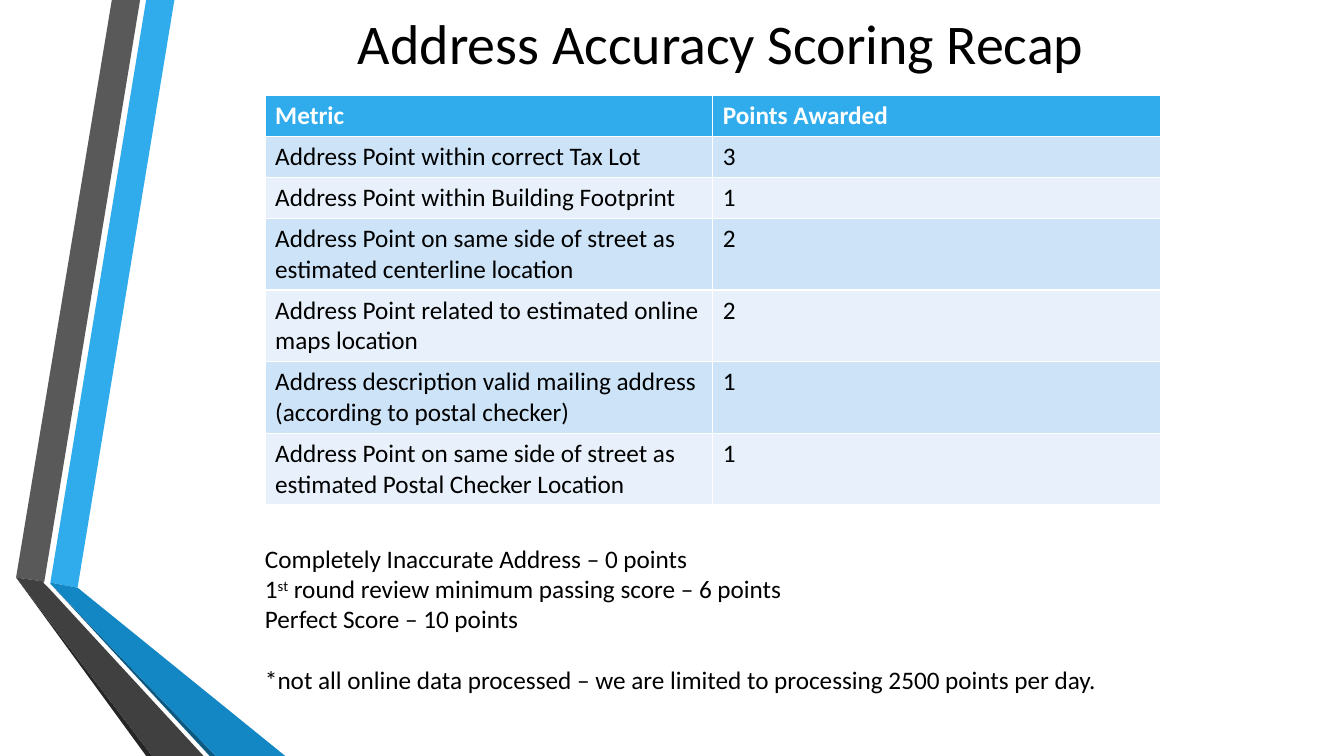
from dataclasses import dataclass

import pptx
import pptx.dml.color
import pptx.enum.text
import pptx.util

# The layout grid has 100 columns and 100 rows to the inch
UNIT = pptx.util.Inches(0.01)
SLIDE_COLUMNS, SLIDE_ROWS = 1333, 750


@dataclass(frozen=True)
class Theme:
    font: str = "Calibri"
    title_size: int = 40
    body_size: int = 18
    text: str = "000000"
    header_text: str = "FFFFFF"
    header_fill: str = "30ACEC"
    band_fills: tuple = ("CDE3F8", "E8F1FB")
    blue: str = "30ACEC"
    blue_fold: str = "1287C3"
    blue_edge: str = "0C5A82"
    gray: str = "595959"
    gray_fold: str = "404040"
    gray_edge: str = "262626"


THEME = Theme()

# Ribbon outlines from back to front, in grid units from the box corner
RIBBONS = [
    (THEME.blue, [(50, 578), (77, 583), (173, 0), (145, 0)]),
    (THEME.gray, [(139, 0), (111, 0), (16, 573), (44, 577)]),
    (THEME.gray_edge, [(16, 573), (145, 750), (151, 750)]),
    (THEME.blue_edge, [(50, 579), (208, 750), (214, 750)]),
    (THEME.blue_fold, [(50, 578), (50, 579), (214, 750), (283, 750), (77, 583)]),
    (THEME.gray_fold, [(202, 750), (48, 583), (43, 578), (44, 577), (16, 573), (151, 750)]),
]

SCORES = [
    ("Metric", "Points Awarded"),
    ("Address Point within correct Tax Lot", "3"),
    ("Address Point within Building Footprint", "1"),
    ("Address Point on same side of street as estimated centerline location", "2"),
    ("Address Point related to estimated online maps location", "2"),
    ("Address description valid mailing address (according to postal checker)", "1"),
    ("Address Point on same side of street as estimated Postal Checker Location", "1"),
]
SINGLE_LINE_ROWS = 3

# Each note is a list of (text, is superscript) runs
NOTES = [
    [("Completely Inaccurate Address – 0 points", False)],
    [("1", False), ("st", True), (" round review minimum passing score – 6 points", False)],
    [("Perfect Score – 10 points", False)],
    [("*not all online data processed – we are limited to processing 2500 points per day.", False)],
]


def to_lengths(box):
    return [value * UNIT for value in box]


def color(value):
    return pptx.dml.color.RGBColor.from_string(value)


def format_runs(paragraph, size, text_color, bold=False):
    for run in paragraph.runs:
        run.font.name = THEME.font
        run.font.size = pptx.util.Pt(size)
        run.font.bold = bold
        run.font.color.rgb = color(text_color)


def add_ribbons(slide, box):
    left, top, _, _ = box
    for fill, outline in RIBBONS:
        points = [((left + x) * UNIT, (top + y) * UNIT) for x, y in outline]
        builder = slide.shapes.build_freeform(*points[0])
        builder.add_line_segments(points[1:], close=True)
        ribbon = builder.convert_to_shape()
        ribbon.shadow.inherit = False
        ribbon.fill.solid()
        ribbon.fill.fore_color.rgb = color(fill)
        ribbon.line.fill.background()


def place_title(slide, box):
    title = slide.shapes.title
    title.left, title.top, title.width, title.height = to_lengths(box)
    title.text_frame.text = "Address Accuracy Scoring Recap"
    title.text_frame.vertical_anchor = pptx.enum.text.MSO_ANCHOR.MIDDLE
    paragraph = title.text_frame.paragraphs[0]
    paragraph.alignment = pptx.enum.text.PP_ALIGN.CENTER
    format_runs(paragraph, THEME.title_size, THEME.text)


def add_score_table(slide, box):
    frame = slide.shapes.add_table(len(SCORES), len(SCORES[0]), *to_lengths(box))
    table = frame.table
    for row_index, values in enumerate(SCORES):
        is_header = row_index == 0
        row_height = 40 if row_index < SINGLE_LINE_ROWS else 70
        table.rows[row_index].height = row_height * UNIT
        fill = THEME.header_fill if is_header else THEME.band_fills[(row_index - 1) % 2]
        text_color = THEME.header_text if is_header else THEME.text
        for column_index, value in enumerate(values):
            cell = table.cell(row_index, column_index)
            cell.fill.solid()
            cell.fill.fore_color.rgb = color(fill)
            cell.text_frame.text = value
            format_runs(cell.text_frame.paragraphs[0], THEME.body_size, text_color, is_header)


def add_notes(slide, box):
    text_frame = slide.shapes.add_textbox(*to_lengths(box)).text_frame
    text_frame.word_wrap = True
    for index, note in enumerate(NOTES):
        paragraph = text_frame.add_paragraph() if index else text_frame.paragraphs[0]
        for text, is_superscript in note:
            run = paragraph.add_run()
            run.text = text
            if is_superscript:
                run._r.get_or_add_rPr().set("baseline", "30000")
        format_runs(paragraph, THEME.body_size, THEME.text)
    # The footnote stands one line apart from the scores
    paragraph.space_before = pptx.util.Pt(22)


def build_recap_slide(presentation):
    title_only = presentation.slide_layouts[5]
    slide = presentation.slides.add_slide(title_only)
    add_ribbons(slide, (0, 0, 283, SLIDE_ROWS))
    place_title(slide, (167, 0, 1096, 84))
    add_score_table(slide, (263, 95, 888, 400))
    add_notes(slide, (253, 534, 873, 192))


def main():
    presentation = pptx.Presentation()
    presentation.slide_width = SLIDE_COLUMNS * UNIT
    presentation.slide_height = SLIDE_ROWS * UNIT
    build_recap_slide(presentation)
    presentation.save("out.pptx")


if __name__ == "__main__":
    main()
